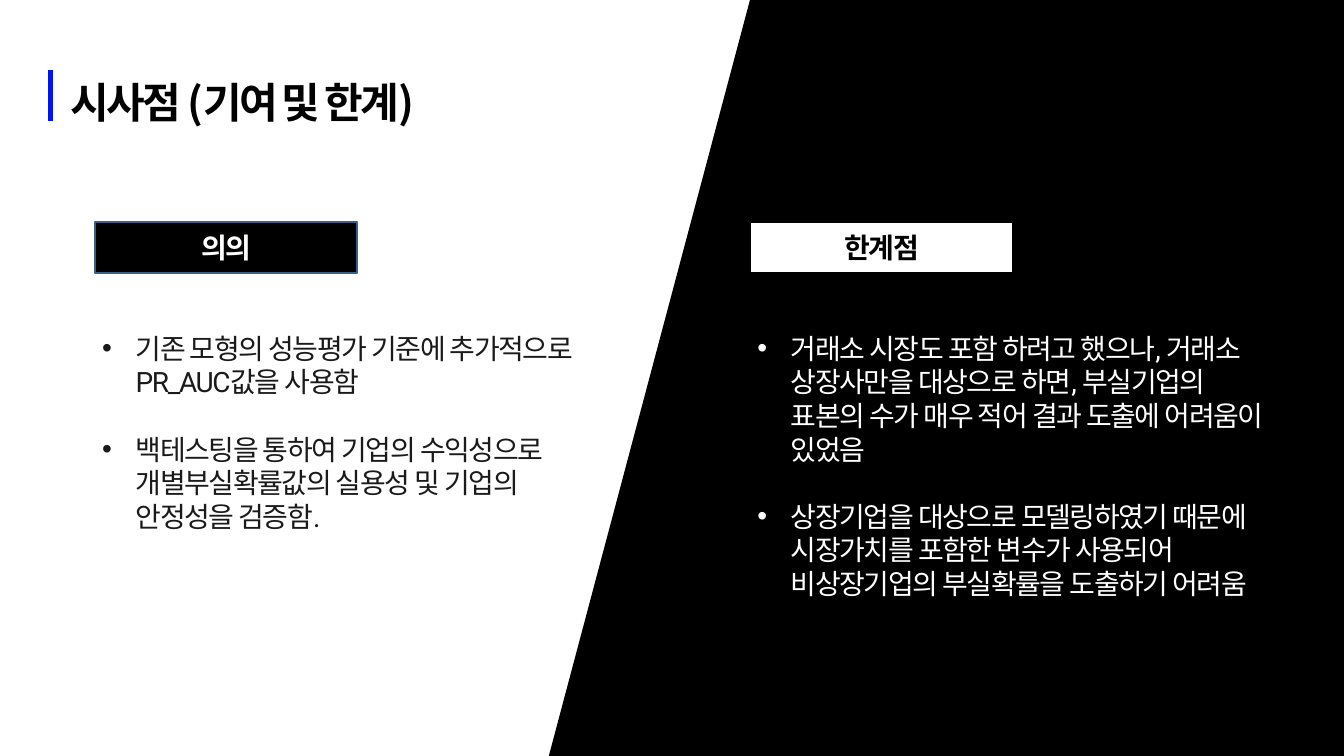
from lxml import etree
from pptx import Presentation
from pptx.dml.color import RGBColor
from pptx.enum import shapes, text
from pptx.oxml.ns import qn
from pptx.util import Pt

HEADING_FONT = "Noto Sans CJK KR"
BODY_FONT = "Roboto"

CONTRIBUTIONS = [
    "기존 모형의 성능평가 기준에 추가적으로 PR_AUC값을 사용함",
    "백테스팅을 통하여 기업의 수익성으로 개별부실확률값의 실용성 및 기업의 안정성을 검증함.",
]
LIMITS = [
    "거래소 시장도 포함 하려고 했으나, 거래소 상장사만을 대상으로 하면, 부실기업의 "
    "표본의 수가 매우 적어 결과 도출에 어려움이 있었음",
    "상장기업을 대상으로 모델링하였기 때문에 시장가치를 포함한 변수가 사용되어 "
    "비상장기업의 부실확률을 도출하기 어려움",
]


def color(value):
    return RGBColor.from_string(value)


def set_all(target, values):
    for name, value in values.items():
        setattr(target, name, value)


def place(shape, left, top, width, height):
    set_all(shape, {"left": Pt(left), "top": Pt(top),
                    "width": Pt(width), "height": Pt(height)})


def write(paragraph, words, font, size, hex_color, spacing, bold=False):
    run = paragraph.add_run()
    run.text = words
    set_all(run.font, {"name": font, "size": Pt(size), "bold": bold})
    run.font.color.rgb = color(hex_color)
    properties = run.font._element
    properties.set("spc", str(round(spacing * 100)))
    east_asian = etree.Element(qn("a:ea"), typeface=font)
    properties.find(qn("a:latin")).addnext(east_asian)


def add_box(slide, left, top, width, height, fill, line):
    shape = slide.shapes.add_shape(shapes.MSO_SHAPE.RECTANGLE, Pt(left), Pt(top),
                                   Pt(width), Pt(height))
    shape.shadow.inherit = False
    shape.fill.solid()
    shape.fill.fore_color.rgb = color(fill)
    shape.line.color.rgb = color(line)
    shape.line.width = Pt(2)
    return shape


def add_dark_panel(slide, left, top, width, height):
    panel = add_box(slide, left, top, width, height, "000000", "000000")
    panel.rotation = 14.9
    slide.shapes._spTree.insert(2, panel._element)  # behind the placeholders


def add_title(slide, left, top, width, height):
    # Blue accent bar
    accent = slide.shapes.add_connector(shapes.MSO_CONNECTOR.STRAIGHT, Pt(left), Pt(top + 14),
                                        Pt(left), Pt(top + 68))
    accent.line.color.rgb = color("0017EC")
    accent.line.width = Pt(5)
    etree.SubElement(accent._element.spPr, qn("a:effectLst"))

    # Title text
    title = slide.shapes.title
    place(title, left + 21.6, top, width - 21.6, height)
    set_all(title.text_frame, {
        "margin_left": 0, "margin_top": 0, "margin_right": 0, "margin_bottom": 0,
        "word_wrap": True, "auto_size": text.MSO_AUTO_SIZE.NONE,
        "vertical_anchor": text.MSO_ANCHOR.TOP})
    paragraph = title.text_frame.paragraphs[0]
    set_all(paragraph, {"alignment": text.PP_ALIGN.LEFT, "line_spacing": Pt(74.8)})
    write(paragraph, "시사점 (기여 및 한계)", HEADING_FONT, 45, "000000", -3, True)


def add_column(slide, body, left, top, width, height, heading, items, style):
    # Heading box
    box = add_box(slide, left, top, 280.8, 55.4, style["box"], style["line"])
    box.text_frame.vertical_anchor = text.MSO_ANCHOR.MIDDLE
    paragraph = box.text_frame.paragraphs[0]
    paragraph.alignment = text.PP_ALIGN.CENTER
    write(paragraph, heading, HEADING_FONT, 30, style["heading"], -1.5, True)

    # Bulleted list
    place(body, left, top + 113.8, width, height - 113.8)
    frame = body.text_frame
    set_all(frame, {"word_wrap": True, "auto_size": text.MSO_AUTO_SIZE.NONE,
                    "vertical_anchor": text.MSO_ANCHOR.TOP})
    for index, item in enumerate(items):
        paragraph = frame.add_paragraph() if index else frame.paragraphs[0]
        set_all(paragraph, {"alignment": text.PP_ALIGN.LEFT,
                            "space_before": Pt(36 if index else 0)})
        properties = paragraph._p.get_or_add_pPr()
        properties.set("marL", str(Pt(36)))
        properties.set("indent", str(Pt(-36)))
        etree.SubElement(properties, qn("a:buFont"), typeface="Arial")
        etree.SubElement(properties, qn("a:buChar"), char="•")
        write(paragraph, item, BODY_FONT, 30, style["body"], -1.5)


def main():
    presentation = Presentation()
    set_all(presentation, {"slide_width": Pt(1440), "slide_height": Pt(810)})
    slide = presentation.slides.add_slide(presentation.slide_layouts[3])  # two content
    left_body, right_body = slide.placeholders[1], slide.placeholders[2]

    add_dark_panel(slide, 666, 0, 1440, 1229.8)
    add_title(slide, 54, 61.2, 663.8, 68.4)
    add_column(slide, left_body, 102.2, 237.6, 558, 339.2, "의의", CONTRIBUTIONS,
               {"box": "000000", "line": "3A5F8C", "heading": "FFFFFF", "body": "1A1A1A"})
    add_column(slide, right_body, 804.2, 237.6, 558, 484.6, "한계점", LIMITS,
               {"box": "FFFFFF", "line": "000000", "heading": "000000", "body": "FFFFFF"})
    presentation.save("out.pptx")


if __name__ == "__main__":
    main()
